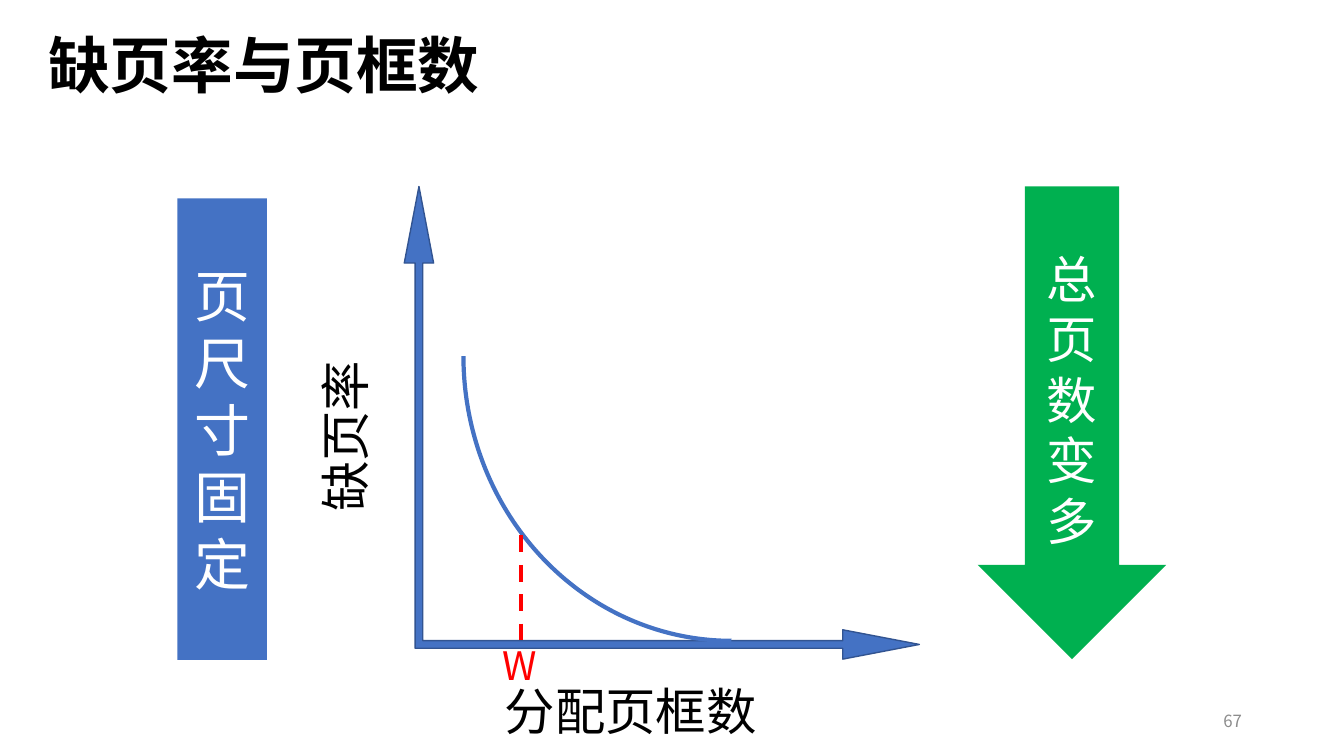
from dataclasses import dataclass

from lxml import etree
from pptx import Presentation
from pptx.dml.color import RGBColor
from pptx.enum.dml import MSO_LINE_DASH_STYLE as Dash
from pptx.enum.shapes import MSO_CONNECTOR as Connector, MSO_SHAPE as Shape
from pptx.enum.text import MSO_ANCHOR as Anchor, MSO_AUTO_SIZE as AutoSize, PP_ALIGN as Align
from pptx.oxml.ns import qn
from pptx.util import Cm, Pt


@dataclass(frozen=True)
class Theme:
    font: str = "Noto Sans CJK SC"
    black: str = "000000"
    white: str = "FFFFFF"
    grey: str = "8C8C8C"
    blue: str = "4472C4"
    dark_blue: str = "325491"
    green: str = "00B050"
    red: str = "FF0000"
    title: int = 44
    banner: int = 40
    label: int = 36
    mark: int = 28
    number: int = 12
    outline: int = 1
    curve: int = 3


THEME = Theme()


def lengths(values):
    return [Cm(value) for value in values]


def write(shape, text, size, color, align=Align.LEFT, anchor=Anchor.TOP, bold=False):
    """Put one styled paragraph in a shape and return the paragraph."""
    frame = shape.text_frame
    frame.text = text
    frame.vertical_anchor = anchor
    para = frame.paragraphs[0]
    para.alignment = align
    for span in para.runs:
        font = span.font
        font.name, font.size, font.bold = THEME.font, Pt(size), bold
        font.color.rgb = RGBColor.from_string(color)
        east_asian = etree.SubElement(font._element, qn("a:ea"))
        east_asian.set("typeface", THEME.font)
    return para


def add_text(page, area, text, size, color, **style):
    box = page.shapes.add_textbox(*lengths(area))
    box.text_frame.word_wrap = True
    return write(box, text, size, color, **style)


def add_label(page, area, text, size, color, upward=False):
    """Add an unwrapped label that fits its text, optionally reading upward."""
    box = page.shapes.add_textbox(*lengths(area))
    frame = box.text_frame
    frame.word_wrap = False
    frame.auto_size = AutoSize.SHAPE_TO_FIT_TEXT
    if upward:
        frame._txBody.bodyPr.set("vert", "vert270")
    write(box, text, size, color)


def set_line(line, color, width):
    line.color.rgb = RGBColor.from_string(color)
    line.width = Pt(width)


def add_figure(page, kind, area, fill=None, line=None, width=1, flips=()):
    shape = page.shapes.add_shape(kind, *lengths(area))
    shape.shadow.inherit = False
    if fill:
        shape.fill.solid()
        shape.fill.fore_color.rgb = RGBColor.from_string(fill)
    else:
        shape.fill.background()
    if line:
        set_line(shape.line, line, width)
    else:
        shape.line.fill.background()
    for flip in flips:
        shape._element.spPr.xfrm.set(flip, "1")
    return shape


def add_banner(page, kind, area, fill, text, size):
    banner = add_figure(page, kind, area, fill)
    banner.text_frame.word_wrap = True
    write(banner, text, size, THEME.white, Align.CENTER, Anchor.MIDDLE)


def add_dashed_line(page, start, end, color, width):
    line = page.shapes.add_connector(Connector.STRAIGHT, *lengths(start + end))
    set_line(line.line, color, width)
    line.line.dash_style = Dash.DASH
    etree.SubElement(line._element.spPr, qn("a:effectLst"))


def main():
    deck = Presentation()
    deck.slide_width, deck.slide_height = Cm(33.87), Cm(19.05)
    page = deck.slides.add_slide(deck.slide_layouts[6])

    # Title and page number
    title = add_text(page, (0.97, 0.51, 16.26, 2.44), "缺页率与页框数", THEME.title,
                     THEME.black, anchor=Anchor.MIDDLE, bold=True)
    title.line_spacing = 0.9
    add_text(page, (23.93, 17.65, 7.62, 1.02), "67", THEME.number, THEME.grey,
             align=Align.RIGHT, anchor=Anchor.MIDDLE)

    # Page count arrow
    add_banner(page, Shape.DOWN_ARROW, (24.64, 4.7, 4.75, 11.91), THEME.green,
               "总页数变多", THEME.label)

    # Axes with their labels
    axes = add_figure(page, Shape.LEFT_UP_ARROW, (10.19, 4.7, 12.98, 11.91), THEME.blue,
                      THEME.dark_blue, THEME.outline, flips=("flipH",))
    for index, value in enumerate((0.016, 0.031, 0.162)):
        axes.adjustments[index] = value
    add_label(page, (12.47, 17.02, 6.93, 1.8), "分配页框数", THEME.label, THEME.black)
    add_label(page, (7.8, 9.04, 2.06, 4.11), "缺页率", THEME.label, THEME.black, upward=True)

    # Fault rate curve
    add_figure(page, Shape.ARC, (11.68, 1.8, 13.51, 14.35), line=THEME.blue,
               width=THEME.curve, flips=("flipH", "flipV"))

    # Fixed page size banner
    add_banner(page, Shape.RECTANGLE, (4.47, 5, 2.26, 11.63), THEME.blue,
               "页尺寸固定", THEME.banner)

    # Marked point W
    add_dashed_line(page, (13.13, 13.49), (13.13, 16.13), THEME.red, THEME.curve)
    add_label(page, (12.42, 16.03, 1.42, 1.45), "W", THEME.mark, THEME.red)

    deck.save("out.pptx")


if __name__ == "__main__":
    main()
